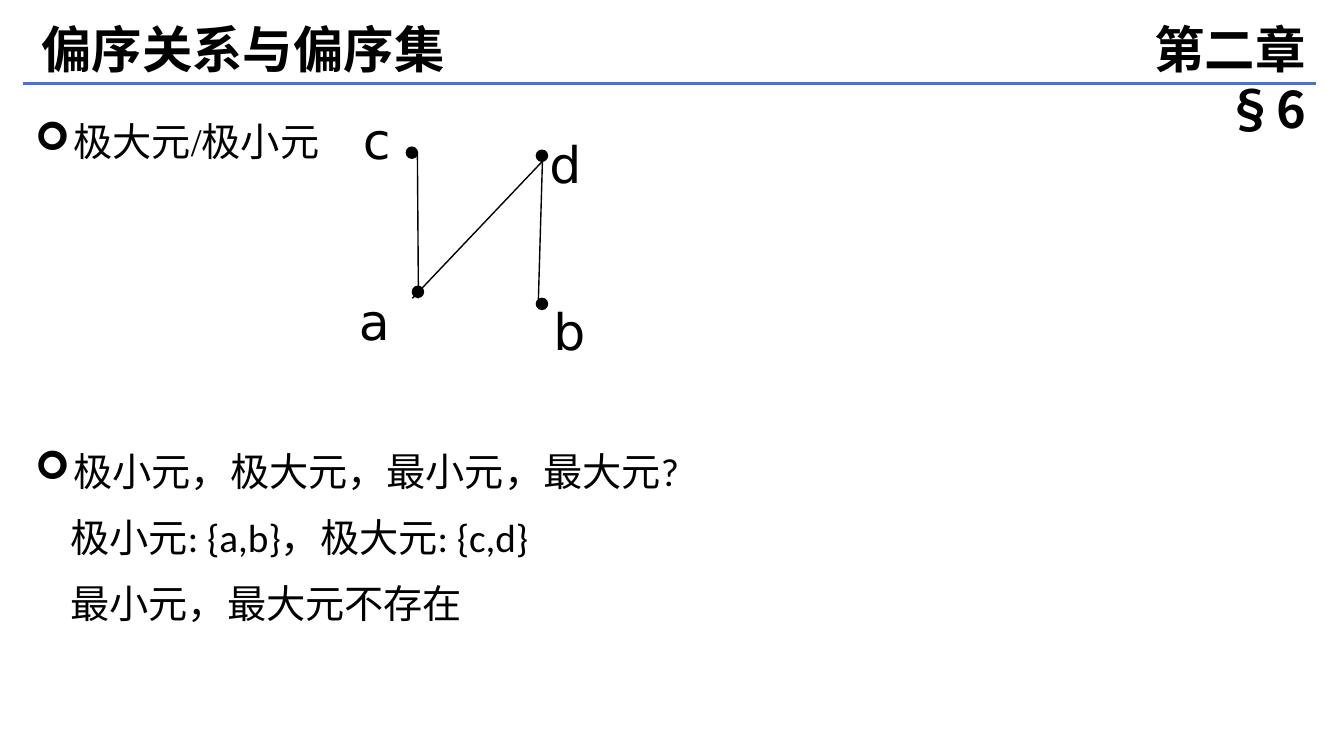
import pptx
import pptx.dml.color
import pptx.enum.shapes
import pptx.enum.text
import pptx.oxml.ns
import pptx.util
from lxml import etree

Inches = pptx.util.Inches
Pt = pptx.util.Pt
qn = pptx.oxml.ns.qn

HEADING_FONT = "Noto Sans CJK SC"
LABEL_FONT = "DejaVu Sans"
BLACK = "000000"
RULE_BLUE = "4874CB"


def color(hex_text):
    return pptx.dml.color.RGBColor.from_string(hex_text)


def format_runs(paragraph, size, font, bold=False):
    for run in paragraph.runs:
        run.font.size = Pt(size)
        run.font.name = font
        run.font.bold = bold
        run.font.color.rgb = color(BLACK)
        east_asian = etree.Element(qn("a:ea"), typeface=HEADING_FONT)
        run.font._element.find(qn("a:latin")).addnext(east_asian)


def set_frame(frame):
    frame.word_wrap = True
    frame.auto_size = pptx.enum.text.MSO_AUTO_SIZE.NONE
    frame.vertical_anchor = pptx.enum.text.MSO_ANCHOR.TOP
    frame.margin_left = frame.margin_right = Inches(0.1)
    frame.margin_top = frame.margin_bottom = Inches(0.05)


def add_text(slide, left, top, width, height):
    box = slide.shapes.add_textbox(
        Inches(left), Inches(top), Inches(width), Inches(height))
    set_frame(box.text_frame)
    return box.text_frame


def add_line(slide, start, end, line_color, weight):
    line = slide.shapes.add_connector(
        pptx.enum.shapes.MSO_CONNECTOR.STRAIGHT,
        *(Inches(value) for value in (*start, *end)))
    line.line.color.rgb = color(line_color)
    line.line.width = Pt(weight)
    etree.SubElement(line._element.spPr, qn("a:effectLst"))


def add_header(slide, left, top, width):
    # Section title
    title = slide.shapes.title
    title.left, title.top = Inches(left + 0.08), Inches(top)
    title.width, title.height = Inches(5.76), Inches(0.71)
    set_frame(title.text_frame)
    title.text_frame.text = "偏序关系与偏序集"

    # Chapter mark, flush with the right end of the rule
    chapter_width = 2.54
    chapter = add_text(
        slide, left + width - chapter_width, top, chapter_width, 0.71)
    chapter.text = "第二章 §6"

    alignments = pptx.enum.text.PP_ALIGN
    for frame, alignment in ((title.text_frame, alignments.LEFT),
                             (chapter, alignments.RIGHT)):
        frame.paragraphs[0].alignment = alignment
        format_runs(frame.paragraphs[0], 36, HEADING_FONT, True)

    # Rule under the header
    add_line(slide, (left, top + 0.7), (left + width, top + 0.7),
             RULE_BLUE, 2.25)


def add_points(slide, left, top, width, height, points):
    """Each point is (text, font, bulleted)."""
    frame = add_text(slide, left, top, width, height)
    frame.text = "\n".join(text for text, _, _ in points)
    for paragraph, (_, font, bulleted) in zip(frame.paragraphs, points):
        paragraph.line_spacing = 1.4
        properties = paragraph._p.get_or_add_pPr()
        if bulleted:
            properties.set("marL", str(Inches(0.38)))
            properties.set("indent", str(-Inches(0.38)))
            etree.SubElement(properties, qn("a:buFont"), typeface="Wingdings")
            etree.SubElement(properties, qn("a:buChar"), char="➢")
        else:
            properties.set("marL", str(Inches(0.35)))
            properties.set("indent", "0")
        format_runs(paragraph, 28, font)


def add_hasse_diagram(slide, left, top):
    # Elements: dot and label offsets, label width
    elements = {
        "a": ((0.63, 1.81), (0, 1.8), 0.61),
        "b": ((1.86, 1.93), (1.93, 1.9), 0.63),
        "c": ((0.57, 0.43), (0.04, 0), 0.56),
        "d": ((1.86, 0.46), (1.89, 0.24), 0.63),
    }
    for name, (dot_at, label_at, label_width) in elements.items():
        dot = slide.shapes.add_shape(
            pptx.enum.shapes.MSO_SHAPE.OVAL,
            Inches(left + dot_at[0]), Inches(top + dot_at[1]),
            Inches(0.11), Inches(0.11))
        dot.shadow.inherit = False
        dot.fill.solid()
        dot.fill.fore_color.rgb = color(BLACK)
        dot.line.color.rgb = color(BLACK)
        dot.line.width = Pt(1)

        label = add_text(
            slide, left + label_at[0], top + label_at[1], label_width, 0.71)
        label.text = name
        format_runs(label.paragraphs[0], 36, LABEL_FONT)

    # Order relations: a–d, b–d, a–c
    relations = [((0.63, 1.93), (1.92, 0.57)),
                 ((1.88, 1.94), (1.92, 0.57)),
                 ((0.69, 1.93), (0.68, 0.49))]
    for relation in relations:
        start, end = ((left + x, top + y) for x, y in relation)
        add_line(slide, start, end, BLACK, 1)


def main():
    presentation = pptx.Presentation()
    presentation.slide_width = Inches(13.33)
    presentation.slide_height = Inches(7.5)
    slide = presentation.slides.add_slide(presentation.slide_layouts[5])

    add_header(slide, 0.23, 0.13, 12.82)
    add_points(slide, 0.25, 0.93, 3.3, 0.8,
               [("极大元/极小元", "Times New Roman", True)])
    add_hasse_diagram(slide, 3.46, 1.03)
    add_points(slide, 0.25, 4.2, 12.79, 3, [
        ("极小元，极大元，最小元，最大元?", "Calibri", True),
        ("极小元: {a,b}，极大元: {c,d}", "Calibri", False),
        ("最小元，最大元不存在", "Calibri", False),
    ])
    presentation.save("out.pptx")


if __name__ == "__main__":
    main()
